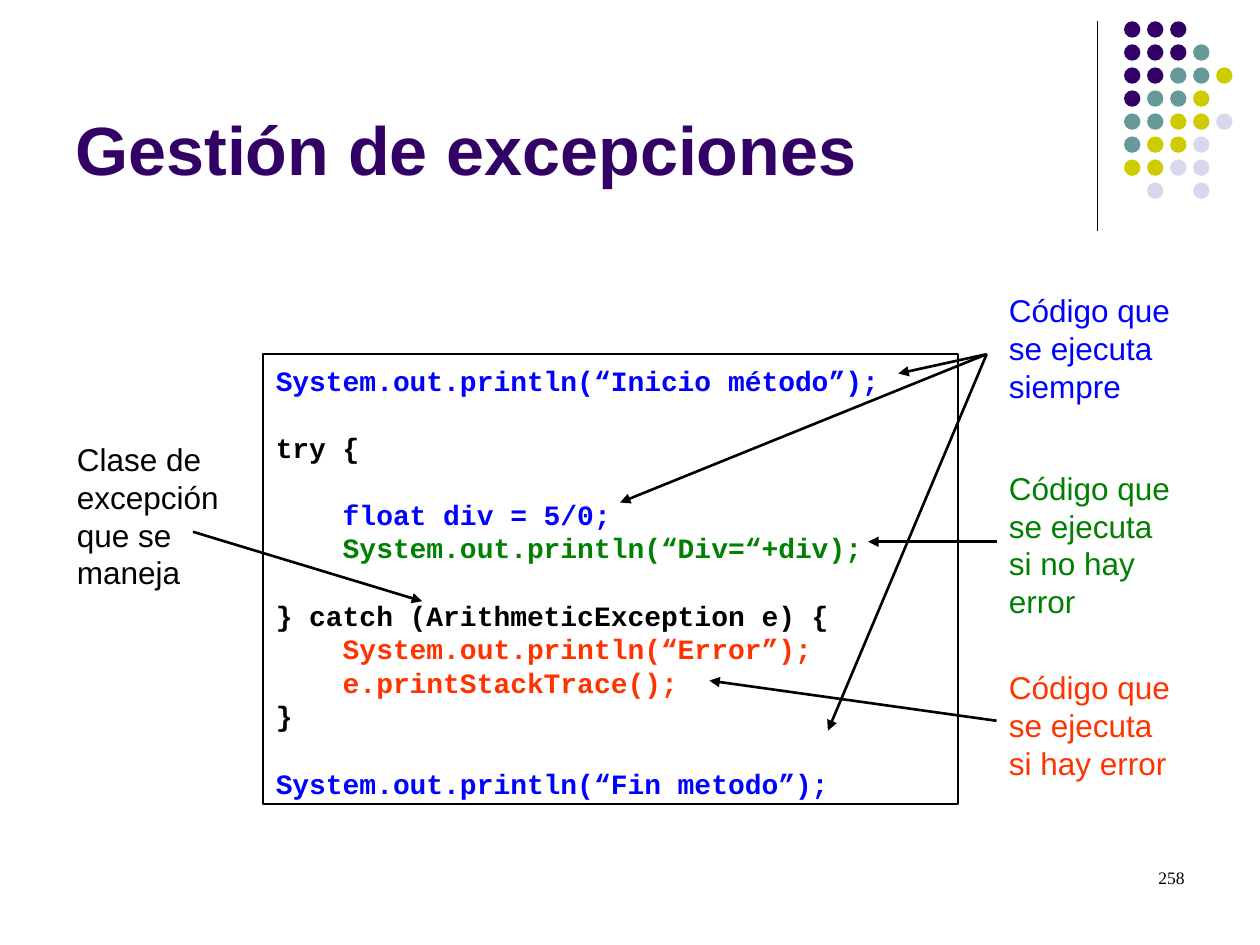
"""Build the slide on exception handling: annotated code, colour-matched labels and a dot ornament."""
from dataclasses import dataclass
from typing import Optional

from lxml.etree import SubElement
from pptx import Presentation
from pptx.dml.color import RGBColor
from pptx.enum.shapes import MSO_CONNECTOR as CONN, MSO_SHAPE as SHAPE
from pptx.enum.text import MSO_ANCHOR as ANCHOR, PP_ALIGN as ALIGN
from pptx.oxml.ns import qn
from pptx.util import Cm, Pt

BLACK, BLUE, GREEN, RED, PURPLE = "000000", "0000FF", "008000", "FF3300", "330066"
DOT_COLORS = {"P": PURPLE, "T": "669999", "Y": "CCCC00", "L": "D8D8EC"}
DOT_ROWS = ["PPP", "PPPT", "PPTTY", "PTTY", "TTYYL", "TYYL", "YYLL", " L L"]
DOT_LEFT, DOT_TOP, DOT_SIZE, DOT_PITCH = 22.66, 0.43, 0.33, 3.25 / 7
LINE_FACTOR = 1.2


@dataclass
class Line:
    text: str
    color: str = BLACK
    gap: bool = False


@dataclass
class Label:
    text: str
    color: str
    box: tuple[float, float, float, float]


@dataclass
class Arrow:
    start: tuple[float, float]
    end: tuple[float, float]
    label: Optional[int] = None


CODE = [
    Line("System.out.println(“Inicio método”);", BLUE),
    Line("try {", gap=True),
    Line("    float div = 5/0;", BLUE, gap=True),
    Line("    System.out.println(“Div=“+div);", GREEN),
    Line("} catch (ArithmeticException e) {", gap=True),
    Line("    System.out.println(“Error”);", RED),
    Line("    e.printStackTrace();", RED),
    Line("}"),
    Line("System.out.println(“Fin metodo”);", BLUE, gap=True),
]
LABELS = [
    Label("Código que se ejecuta siempre", BLUE, (20.09, 5.74, 4.01, 2.54)),
    Label("Código que se ejecuta si no hay error", GREEN, (20.09, 9.32, 4.01, 3.2)),
    Label("Código que se ejecuta si hay error", RED, (20.09, 13.34, 4.01, 2.38)),
    Label("Clase de excepción que se maneja", BLACK, (1.3, 8.74, 3.71, 3.3)),
]
ALWAYS = (19.89, 7.14)
ARROWS = [
    Arrow(ALWAYS, (18.11, 7.53)),
    Arrow(ALWAYS, (12.5, 10.13)),
    Arrow(ALWAYS, (16.69, 14.73)),
    Arrow((20.09, 10.92), (17.5, 10.92), label=1),
    Arrow((20.09, 14.53), (14.3, 13.72), label=2),
    Arrow((3.89, 10.72), (8.51, 12.12)),
]


def rgb(color: str) -> RGBColor:
    return RGBColor.from_string(color)


def write(sp, lines: list[Line], size: float, font: str = "Arial", bold: bool = False,
          align=ALIGN.LEFT, anchor=ANCHOR.TOP, top: float = 0.13) -> None:
    tf = sp.text_frame
    frame = {"word_wrap": True, "vertical_anchor": anchor, "margin_left": Cm(0.25),
             "margin_right": Cm(0.25), "margin_top": Cm(top), "margin_bottom": Cm(0.13)}
    for name, value in frame.items():
        setattr(tf, name, value)
    pitch = Pt(size * LINE_FACTOR)
    for i, line in enumerate(lines):
        p = tf.add_paragraph() if i else tf.paragraphs[0]
        spacing = {"alignment": align, "line_spacing": pitch,
                   "space_before": pitch if line.gap else Pt(0)}
        for name, value in spacing.items():
            setattr(p, name, value)
        r = p.add_run()
        r.text = line.text
        for name, value in {"size": Pt(size), "name": font, "bold": bold}.items():
            setattr(r.font, name, value)
        r.font.color.rgb = rgb(line.color)


def add_text(s, box: tuple[float, float, float, float], text: str, color: str, size: float, **fmt):
    sp = s.shapes.add_textbox(*map(Cm, box))
    write(sp, [Line(text, color)], size, **fmt)
    return sp


def add_line(s, start: tuple[float, float], end: tuple[float, float], width: float,
             head: bool = False):
    cx = s.shapes.add_connector(CONN.STRAIGHT, *map(Cm, start + end))
    cx.line.color.rgb = rgb(BLACK)
    cx.line.width = Pt(width)
    if head:
        SubElement(cx.line._get_or_add_ln(), qn("a:tailEnd"), type="triangle")
    SubElement(cx._element.spPr, qn("a:effectLst"))
    return cx


def add_dots(s) -> None:
    for row, codes in enumerate(DOT_ROWS):
        for col, code in enumerate(codes):
            if code in DOT_COLORS:
                x, y = DOT_LEFT + col * DOT_PITCH, DOT_TOP + row * DOT_PITCH
                sp = s.shapes.add_shape(SHAPE.OVAL, *map(Cm, (x, y, DOT_SIZE, DOT_SIZE)))
                sp.shadow.inherit = False
                sp.fill.solid()
                sp.fill.fore_color.rgb = rgb(DOT_COLORS[code])
                sp.line.fill.background()


def add_code(s) -> None:
    sp = s.shapes.add_shape(SHAPE.RECTANGLE, *map(Cm, (5.31, 7.14, 14, 9.07)))
    sp.shadow.inherit = False
    sp.fill.background()
    sp.line.color.rgb = rgb(BLACK)
    sp.line.width = Pt(1)
    write(sp, CODE, 16, font="Courier New", bold=True, top=0.18)


def main() -> None:
    prs = Presentation()
    prs.slide_width, prs.slide_height = Cm(25.4), Cm(19.05)
    s = prs.slides.add_slide(prs.slide_layouts[6])
    add_line(s, (22.12, 0.43), (22.12, 4.65), 0.75)
    add_dots(s)
    add_text(s, (1.27, 0.33, 20.95, 3.61), "Gestión de excepciones", PURPLE, 39,
             bold=True, anchor=ANCHOR.BOTTOM)
    add_code(s)
    labels = [add_text(s, label.box, label.text, label.color, 18) for label in LABELS]
    for arrow in ARROWS:
        cx = add_line(s, arrow.start, arrow.end, 1.5, head=True)
        if arrow.label is not None:
            cx.begin_connect(labels[arrow.label], 1)
    add_text(s, (18.21, 17.35, 5.92, 1.27), "258", BLACK, 10,
             font="Times New Roman", align=ALIGN.RIGHT)
    prs.save("out.pptx")


if __name__ == "__main__":
    main()
